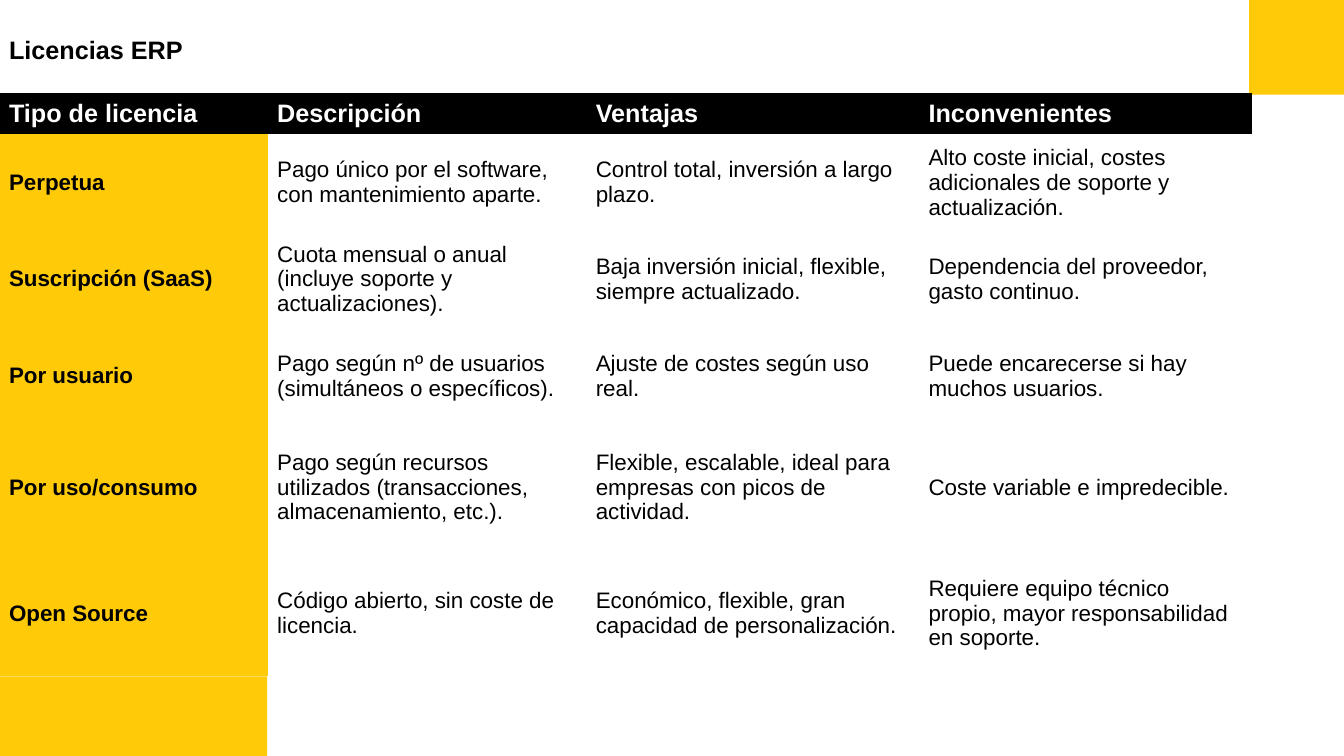
"""Build the slide comparing ERP licence types."""
from dataclasses import dataclass

from pptx import Presentation
from pptx.dml.color import RGBColor
from pptx.enum.shapes import MSO_SHAPE
from pptx.enum.text import MSO_ANCHOR, MSO_AUTO_SIZE, PP_ALIGN
from pptx.oxml.ns import qn
from pptx.util import Inches, Pt


@dataclass(frozen=True)
class Theme:
    """Hold the colours, font and type sizes."""
    font: str = "Arial"
    black: RGBColor = RGBColor(0, 0, 0)
    white: RGBColor = RGBColor(255, 255, 255)
    yellow: RGBColor = RGBColor(0xFF, 0xCA, 0x08)
    heading_size: int = 18
    body_size: int = 16
    plain_table_style: str = "{2D5ABB26-0587-4C30-8999-92F81FD0307C}"


class SlideBuilder:
    """Add styled elements to one slide."""

    def __init__(self, slide, theme):
        """Keep the slide and its theme."""
        self.slide = slide
        self.theme = theme

    def style(self, paragraph, size, color, bold):
        """Format a paragraph."""
        paragraph.alignment = PP_ALIGN.LEFT
        font = paragraph.font
        font.name, font.size, font.bold = self.theme.font, Pt(size), bold
        font.color.rgb = color

    def block(self, left, top, width, height):
        """Add a yellow decorative rectangle."""
        shape = self.slide.shapes.add_shape(
            MSO_SHAPE.RECTANGLE, Inches(left), Inches(top), Inches(width), Inches(height))
        shape.shadow.inherit = False
        shape.fill.solid()
        shape.fill.fore_color.rgb = self.theme.yellow
        shape.line.fill.background()

    def title(self, text, left, top, width, height):
        """Place and format the title placeholder."""
        title = self.slide.shapes.title
        title.left, title.top = Inches(left), Inches(top)
        title.width, title.height = Inches(width), Inches(height)
        frame = title.text_frame
        frame.text = text
        frame.word_wrap = False
        frame.auto_size = MSO_AUTO_SIZE.SHAPE_TO_FIT_TEXT
        frame.vertical_anchor = MSO_ANCHOR.MIDDLE
        self.style(frame.paragraphs[0], self.theme.heading_size, self.theme.black, True)

    def cell(self, cell, text, size, color, bold, fill):
        """Write and format one table cell."""
        cell.text = text
        cell.vertical_anchor = MSO_ANCHOR.MIDDLE
        cell.margin_left = cell.margin_right = Inches(0.09)
        if fill is None:
            cell.fill.background()
        else:
            cell.fill.solid()
            cell.fill.fore_color.rgb = fill
        self.style(cell.text_frame.paragraphs[0], size, color, bold)

    def table(self, rows, left, top, widths, heights):
        """Add a table with a black header row and a yellow first column."""
        theme = self.theme
        table = self.slide.shapes.add_table(
            len(rows), len(widths), Inches(left), Inches(top),
            Inches(sum(widths)), Inches(sum(heights))).table
        table._tbl.tblPr.find(qn("a:tableStyleId")).text = theme.plain_table_style
        table.horz_banding = False
        for column, width in zip(table.columns, widths):
            column.width = Inches(width)
        for row, height in zip(table.rows, heights):
            row.height = Inches(height)
        for row_index, texts in enumerate(rows):
            for column_index, text in enumerate(texts):
                if row_index == 0:
                    look = theme.heading_size, theme.white, True, theme.black
                elif column_index == 0:
                    look = theme.body_size, theme.black, True, theme.yellow
                else:
                    look = theme.body_size, theme.black, False, None
                self.cell(table.cell(row_index, column_index), text, *look)


LICENSES = [
    ("Tipo de licencia", "Descripción", "Ventajas", "Inconvenientes"),
    ("Perpetua",
     "Pago único por el software, con mantenimiento aparte.",
     "Control total, inversión a largo plazo.",
     "Alto coste inicial, costes adicionales de soporte y actualización."),
    ("Suscripción (SaaS)",
     "Cuota mensual o anual (incluye soporte y actualizaciones).",
     "Baja inversión inicial, flexible, siempre actualizado.",
     "Dependencia del proveedor, gasto continuo."),
    ("Por usuario",
     "Pago según nº de usuarios (simultáneos o específicos).",
     "Ajuste de costes según uso real.",
     "Puede encarecerse si hay muchos usuarios."),
    ("Por uso/consumo",
     "Pago según recursos utilizados (transacciones, almacenamiento, etc.).",
     "Flexible, escalable, ideal para empresas con picos de actividad.",
     "Coste variable e impredecible."),
    ("Open Source",
     "Código abierto, sin coste de licencia.",
     "Económico, flexible, gran capacidad de personalización.",
     "Requiere equipo técnico propio, mayor responsabilidad en soporte."),
]


def main():
    """Create and save the presentation."""
    presentation = Presentation()
    presentation.slide_width, presentation.slide_height = Inches(13.33), Inches(7.5)
    slide = presentation.slides.add_slide(presentation.slide_layouts[5])
    builder = SlideBuilder(slide, Theme())
    builder.block(0, 6.71, 2.65, 0.79)
    builder.block(12.39, 0, 0.94, 0.94)
    builder.title("Licencias ERP", -0.01, 0.29, 1.94, 0.4)
    builder.table(LICENSES, 0, 0.92, [2.66, 3.16, 3.3, 3.3],
                  [0.41, 0.96, 0.96, 0.96, 1.25, 1.25])
    presentation.save("out.pptx")


if __name__ == "__main__":
    main()
